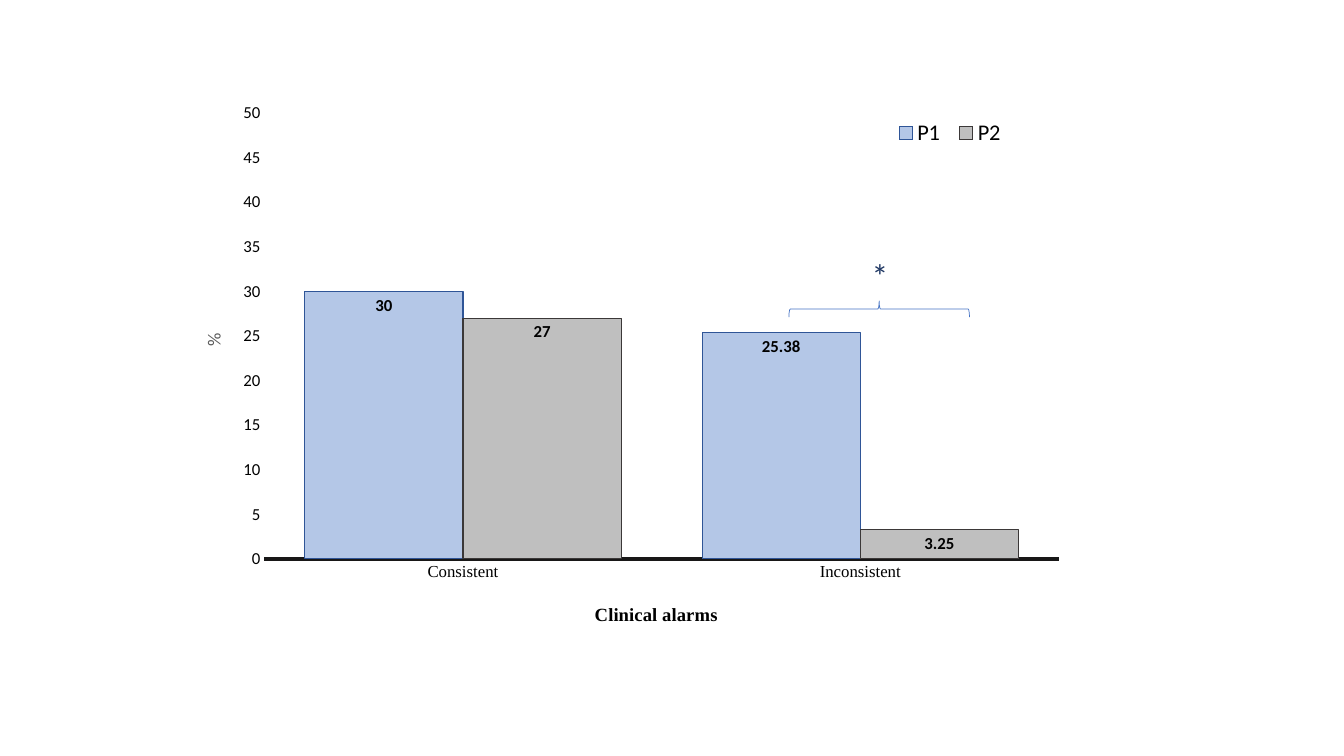
from lxml import etree
from pptx import Presentation
from pptx import util as u
from pptx.chart import data as chart_data
from pptx.dml.color import RGBColor
from pptx.enum import chart as ch, shapes, text
from pptx.oxml import ns

BLACK = RGBColor(0x00, 0x00, 0x00)
WHITE = RGBColor(0xFF, 0xFF, 0xFF)
AXIS = RGBColor(0x18, 0x17, 0x17)
MUTED = RGBColor(0x59, 0x59, 0x59)
BRACE = RGBColor(0x44, 0x72, 0xC4)
NAVY = RGBColor(0x20, 0x38, 0x64)
LIGHT_BLUE = RGBColor(0xB4, 0xC7, 0xE7)
BLUE = RGBColor(0x2F, 0x55, 0x97)
LIGHT_GRAY = RGBColor(0xBF, 0xBF, 0xBF)
DARK_GRAY = RGBColor(0x3B, 0x38, 0x38)

CATEGORIES = ("Consistent", "Inconsistent")
SERIES = (
    ("P1", (30, 25.38), LIGHT_BLUE, BLUE),
    ("P2", (27, 3.25), LIGHT_GRAY, DARK_GRAY),
)


class AlarmSlide:
    sans = "Calibri"
    serif = "Times New Roman"

    def __init__(self, presentation):
        self.slide = presentation.slides.add_slide(presentation.slide_layouts[6])

    def style_font(self, font, size, color=BLACK, name=sans, bold=False):
        font.name = name
        font.size = u.Pt(size)
        font.bold = bold
        font.color.rgb = color

    def style_line(self, line, color, width):
        line.color.rgb = color
        line.width = u.Pt(width)

    def place(self, element, index, inner=False, **fractions):
        for layout in element.findall(ns.qn("c:layout")):
            element.remove(layout)
        layout = etree.Element(ns.qn("c:layout"))
        manual = etree.SubElement(layout, ns.qn("c:manualLayout"))
        settings = {"layoutTarget": "inner"} if inner else {}
        settings.update(xMode="edge", yMode="edge", **fractions)
        for tag, value in settings.items():
            etree.SubElement(manual, ns.qn(f"c:{tag}")).set("val", str(value))
        element.insert(index, layout)

    def axis(self, axis, title, title_place, name, color, bold):
        axis.major_tick_mark = axis.minor_tick_mark = ch.XL_TICK_MARK.NONE
        self.style_font(axis.tick_labels.font, 12, name=name)
        frame = axis.axis_title.text_frame
        frame.text = title
        self.style_font(frame.paragraphs[0].runs[0].font, 13.3, color, name, bold)
        self.place(axis.axis_title._element, 1, **title_place)

    def column_chart(self, left, top, width, height):
        data = chart_data.CategoryChartData()
        data.categories = CATEGORIES
        for name, values, _, _ in SERIES:
            data.add_series(name, values)
        chart = self.slide.shapes.add_chart(
            ch.XL_CHART_TYPE.COLUMN_CLUSTERED,
            u.Pt(left), u.Pt(top), u.Pt(width), u.Pt(height), data).chart
        chart.has_title = False
        self.style_font(chart.font, 10)

        plot = chart.plots[0]
        plot.gap_width = 51
        plot.overlap = 0
        plot.vary_by_categories = False
        for series, (_, _, fill, outline) in zip(plot.series, SERIES):
            series.format.fill.solid()
            series.format.fill.fore_color.rgb = fill
            self.style_line(series.format.line, outline, 0.75)
            labels = series.data_labels
            labels.show_value = True
            labels.position = ch.XL_LABEL_POSITION.INSIDE_END
            self.style_font(labels.font, 12, bold=True)

        self.axis(chart.category_axis, "Clinical alarms", {"x": 0.46, "y": 0.83},
                  self.serif, BLACK, True)
        self.style_line(chart.category_axis.format.line, AXIS, 3)
        value_axis = chart.value_axis
        self.axis(value_axis, "%", {"x": 0.02, "y": 0.38}, self.sans, MUTED, False)
        value_axis.minimum_scale = 0
        value_axis.maximum_scale = 50
        value_axis.major_unit = 5
        value_axis.format.line.fill.background()
        self.style_line(value_axis.major_gridlines.format.line, WHITE, 0.75)

        chart.has_legend = True
        chart.legend.position = ch.XL_LEGEND_POSITION.BOTTOM
        chart.legend.include_in_layout = False
        self.style_font(chart.legend.font, 16)
        self.place(chart.legend._element, 1, x=0.79, y=0.02, w=0.14, h=0.06)
        plot_area = chart._chartSpace.chart.plotArea
        self.place(plot_area, 0, inner=True, x=0.095, y=0.017, w=0.887, h=0.746)

    def brace(self, left, top, width, height):
        shape = self.slide.shapes.add_shape(
            shapes.MSO_SHAPE.RIGHT_BRACE,
            u.Pt(left), u.Pt(top), u.Pt(width), u.Pt(height))
        shape.rotation = 270
        shape.shadow.inherit = False
        shape.fill.background()
        self.style_line(shape.line, BRACE, 0.5)

    def label(self, content, left, top, width, height, size, color):
        shape = self.slide.shapes.add_textbox(
            u.Pt(left), u.Pt(top), u.Pt(width), u.Pt(height))
        frame = shape.text_frame
        frame.auto_size = text.MSO_AUTO_SIZE.SHAPE_TO_FIT_TEXT
        frame.word_wrap = False
        frame.text = content
        self.style_font(frame.paragraphs[0].runs[0].font, size, color)


def main():
    presentation = Presentation()
    presentation.slide_width = u.Pt(960)
    presentation.slide_height = u.Pt(540)
    alarms = AlarmSlide(presentation)
    alarms.column_chart(128, 73.5, 640, 427)
    alarms.brace(622.25, 156.25, 11.5, 129)
    alarms.label("*", 615.5, 178.5, 26, 36, 24, NAVY)
    presentation.save("out.pptx")


if __name__ == "__main__":
    main()
